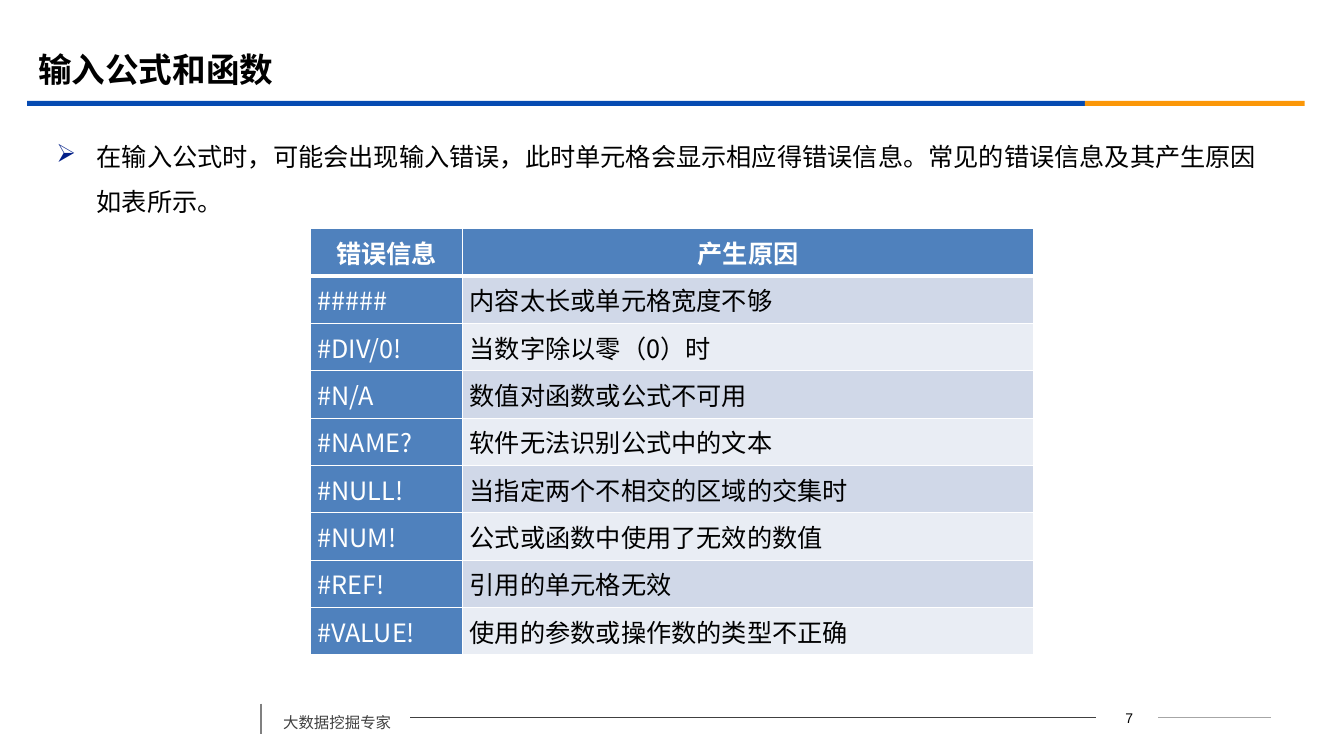
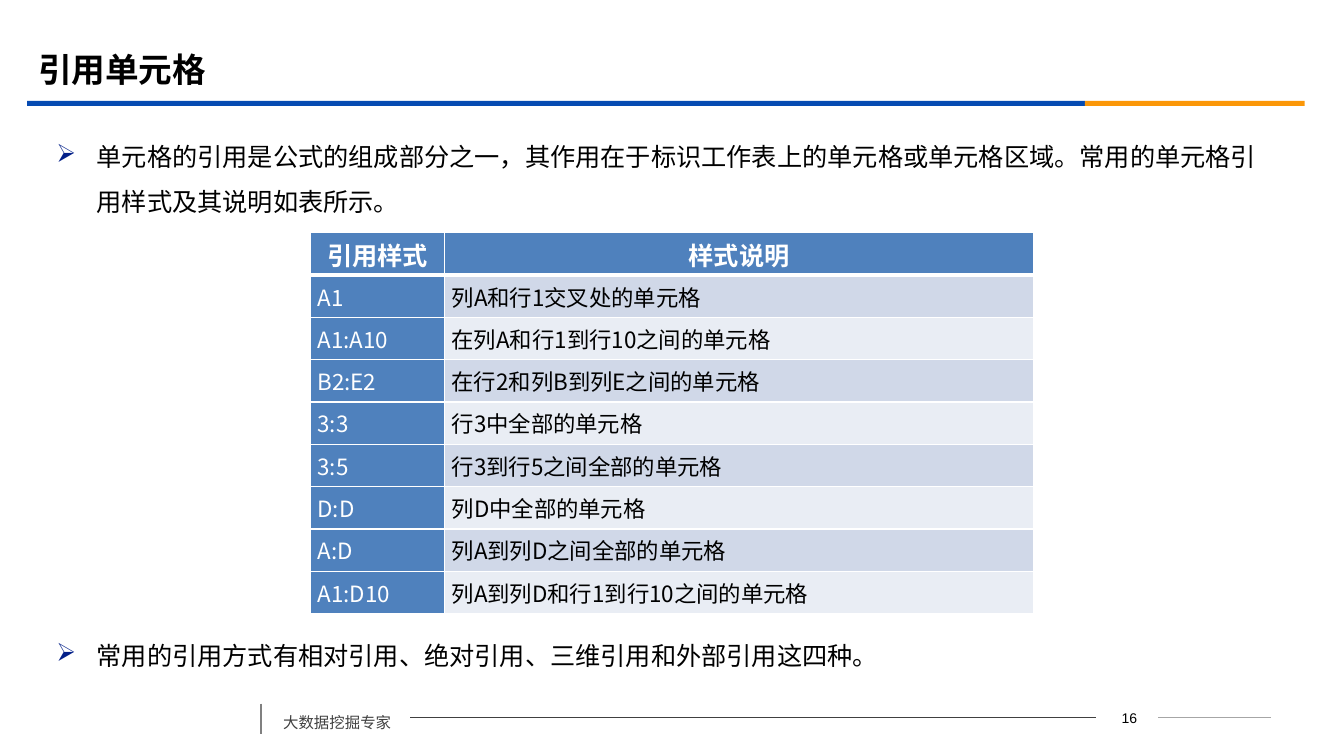
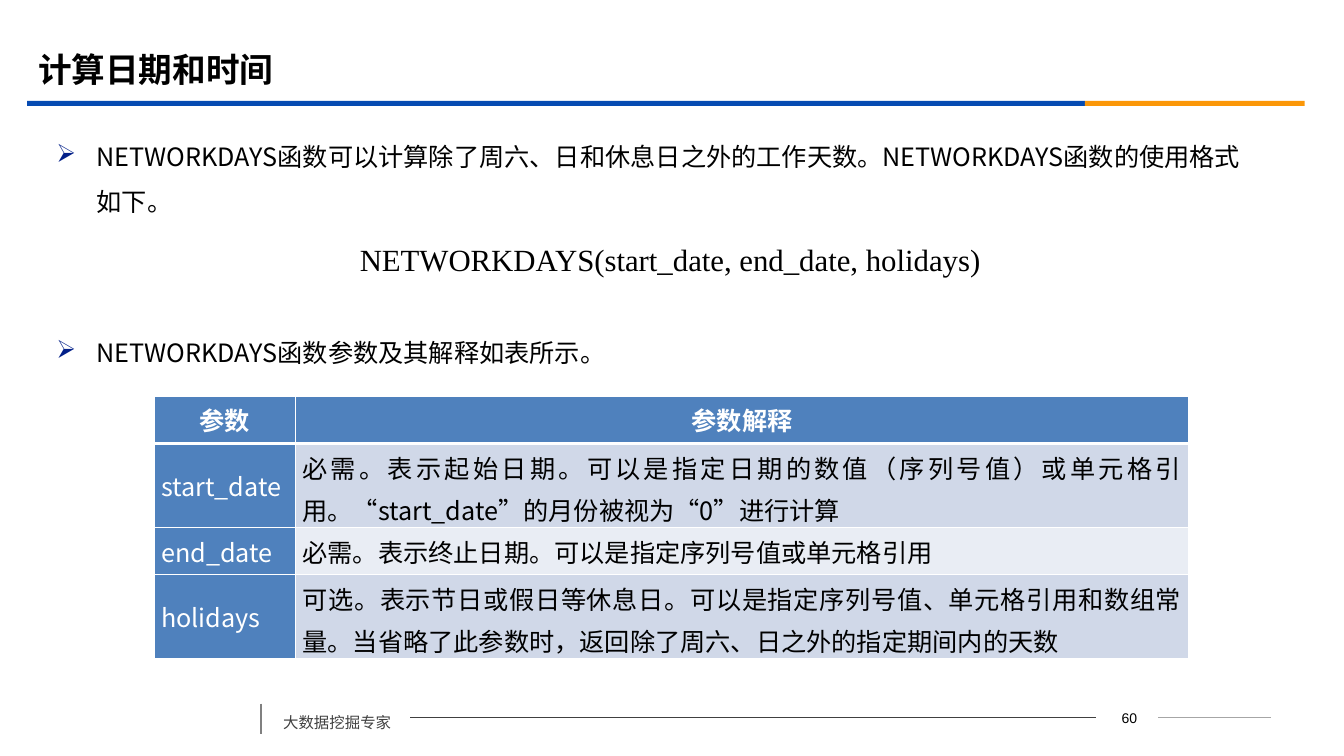
from lxml.etree import SubElement
from pptx import Presentation
from pptx.dml.color import RGBColor
from pptx.enum.shapes import MSO_CONNECTOR as Connector, MSO_SHAPE as Shape
from pptx.enum.text import MSO_ANCHOR as Anchor, PP_ALIGN as Align
from pptx.oxml.ns import qn
from pptx.util import Inches, Pt

# Shared style
CHINESE, LATIN, NUMERIC = "Noto Sans CJK SC", "Times New Roman", "Arial"
BLACK, WHITE, GREY = "000000", "FFFFFF", "404040"
BLUE, ORANGE, BULLET = "064BB2", "FB9708", "032089"
HEAD_FILL, BAND_FILLS = "4F81BD", ("D0D8E8", "E9EDF4")

ERRORS = [
    ("错误信息", "产生原因"),
    ("#####", "内容太长或单元格宽度不够"),
    ("#DIV/0!", "当数字除以零（0）时"),
    ("#N/A", "数值对函数或公式不可用"),
    ("#NAME?", "软件无法识别公式中的文本"),
    ("#NULL!", "当指定两个不相交的区域的交集时"),
    ("#NUM!", "公式或函数中使用了无效的数值"),
    ("#REF!", "引用的单元格无效"),
    ("#VALUE!", "使用的参数或操作数的类型不正确"),
]
REFERENCES = [
    ("引用样式", "样式说明"),
    ("A1", "列A和行1交叉处的单元格"),
    ("A1:A10", "在列A和行1到行10之间的单元格"),
    ("B2:E2", "在行2和列B到列E之间的单元格"),
    ("3:3", "行3中全部的单元格"),
    ("3:5", "行3到行5之间全部的单元格"),
    ("D:D", "列D中全部的单元格"),
    ("A:D", "列A到列D之间全部的单元格"),
    ("A1:D10", "列A到列D和行1到行10之间的单元格"),
]
PARAMETERS = [
    ("参数", "参数解释"),
    ("start_date", "必需。表示起始日期。可以是指定日期的数值（序列号值）或单元格引用。"
                   "“start_date”的月份被视为“0”进行计算"),
    ("end_date", "必需。表示终止日期。可以是指定序列号值或单元格引用"),
    ("holidays", "可选。表示节日或假日等休息日。可以是指定序列号值、单元格引用和数组常量。"
                 "当省略了此参数时，返回除了周六、日之外的指定期间内的天数"),
]


def color(value):
    return RGBColor.from_string(value)


# Text
def write(frame, text, size=18, font=CHINESE, fill=BLACK, bold=False,
          align=Align.LEFT, anchor=Anchor.TOP, spacing=None, bullet=None):
    frame.word_wrap = True
    frame.vertical_anchor = anchor
    paragraph = frame.paragraphs[0]
    paragraph.alignment = align
    if spacing:
        paragraph.line_spacing = Pt(spacing)
    if bullet:
        properties = paragraph._p.get_or_add_pPr()
        properties.set("marL", str(Inches(0.4)))
        properties.set("indent", str(-Inches(0.4)))
        SubElement(SubElement(properties, qn("a:buClr")), qn("a:srgbClr"), val=BULLET)
        SubElement(properties, qn("a:buChar"), char=bullet)
    run = paragraph.add_run()
    run.text = text
    run.font.size = Pt(size)
    run.font.bold = bold
    run.font.color.rgb = color(fill)
    run.font.name = font
    SubElement(run._r.rPr, qn("a:ea"), typeface=font)


def add_text(slide, text, left, top, width, height, **text_format):
    box = slide.shapes.add_textbox(Inches(left), Inches(top), Inches(width), Inches(height))
    write(box.text_frame, text, **text_format)


def add_bullet(slide, text, top, height):
    add_text(slide, text, 0.46, top, 12.15, height, spacing=32, bullet="➢")


# Lines and bands
def add_line(slide, x1, y1, x2, y2, fill, width):
    line = slide.shapes.add_connector(
        Connector.STRAIGHT, Inches(x1), Inches(y1), Inches(x2), Inches(y2))
    line.line.color.rgb = color(fill)
    line.line.width = Pt(width)
    SubElement(line._element.spPr, qn("a:effectLst"))


def add_band(slide, left, width, fill):
    band = slide.shapes.add_shape(
        Shape.RECTANGLE, Inches(left), Inches(1), Inches(width), Inches(0.05))
    band.shadow.inherit = False
    band.fill.solid()
    band.fill.fore_color.rgb = color(fill)
    band.line.fill.background()


# Tables
def set_borders(cell, top, bottom):
    properties = cell._tc.get_or_add_tcPr()
    for side, width in (("L", 1), ("R", 1), ("T", top), ("B", bottom)):
        border = SubElement(properties, qn(f"a:ln{side}"), w=str(Pt(width)))
        SubElement(SubElement(border, qn("a:solidFill")), qn("a:srgbClr"), val=WHITE)


def add_table(slide, rows, left, top, widths, heights, size=18):
    table = slide.shapes.add_table(
        len(rows), len(widths), Inches(left), Inches(top),
        Inches(sum(widths)), Inches(sum(heights))).table
    table.horz_banding = False
    for column, width in zip(table.columns, widths):
        column.width = Inches(width)
    for i, (row, height) in enumerate(zip(rows, heights)):
        table.rows[i].height = Inches(height)
        for j, text in enumerate(row):
            cell = table.cell(i, j)
            header, dark = i == 0, i == 0 or j == 0
            cell.margin_left = cell.margin_right = Inches(0.07)
            cell.margin_top = cell.margin_bottom = 0
            cell.vertical_anchor = Anchor.MIDDLE
            set_borders(cell, top=3 if i == 1 else 1, bottom=3 if header else 1)
            cell.fill.solid()
            cell.fill.fore_color.rgb = color(HEAD_FILL if dark else BAND_FILLS[(i - 1) % 2])
            write(cell.text_frame, text, size=18 if header else size, bold=header,
                  fill=WHITE if dark else BLACK, anchor=None,
                  align=Align.CENTER if header else Align.JUSTIFY,
                  spacing=30 if height > 0.5 and j else None)


# Title, bands and footer of every slide
def add_slide(presentation, title, number):
    slide = presentation.slides.add_slide(presentation.slide_layouts[6])
    add_band(slide, 0.27, 10.49, BLUE)
    add_band(slide, 10.76, 2.18, ORANGE)
    add_text(slide, title, 0.28, 0.39, 12, 0.58, size=24, bold=True, anchor=Anchor.MIDDLE)
    add_line(slide, 2.59, 6.98, 2.59, 7.28, "808080", 1.25)
    add_text(slide, "大数据挖掘专家", 2.71, 6.98, 1.36, 0.38, size=11, fill=GREY,
             anchor=Anchor.MIDDLE)
    add_line(slide, 4.07, 7.12, 10.87, 7.12, GREY, 0.75)
    add_text(slide, str(number), 10.89, 6.99, 0.62, 0.25, size=10, font=NUMERIC,
             align=Align.CENTER)
    add_line(slide, 11.49, 7.12, 12.61, 7.12, "A6A6A6", 0.75)
    return slide


def main():
    presentation = Presentation()
    presentation.slide_width, presentation.slide_height = Inches(13.33), Inches(7.5)

    # Error values
    slide = add_slide(presentation, "输入公式和函数", 7)
    add_bullet(slide, "在输入公式时，可能会出现输入错误，此时单元格会显示相应得错误信息。"
                      "常见的错误信息及其产生原因如表所示。", 1.21, 1)
    add_table(slide, ERRORS, 3.08, 2.27, (1.51, 5.66), [0.47] * 9)

    # Reference styles
    slide = add_slide(presentation, "引用单元格", 16)
    add_bullet(slide, "单元格的引用是公式的组成部分之一，其作用在于标识工作表上的单元格或单元格区域。"
                      "常用的单元格引用样式及其说明如表所示。", 1.21, 1)
    add_table(slide, REFERENCES, 3.08, 2.31, (1.33, 5.84), [0.42] * 9, size=16)
    add_bullet(slide, "常用的引用方式有相对引用、绝对引用、三维引用和外部引用这四种。", 6.16, 0.55)

    # Function arguments
    slide = add_slide(presentation, "计算日期和时间", 60)
    add_bullet(slide, "NETWORKDAYS函数可以计算除了周六、日和休息日之外的工作天数。"
                      "NETWORKDAYS函数的使用格式如下。", 1.21, 1)
    add_text(slide, "NETWORKDAYS(start_date, end_date, holidays)", 3.47, 2.34, 6.78, 0.47,
             size=22, font=LATIN)
    add_bullet(slide, "NETWORKDAYS函数参数及其解释如表所示。", 3.15, 0.55)
    add_table(slide, PARAMETERS, 1.53, 3.93, (1.4, 8.86), (0.47, 0.83, 0.47, 0.83))

    presentation.save("out.pptx")


if __name__ == "__main__":
    main()
